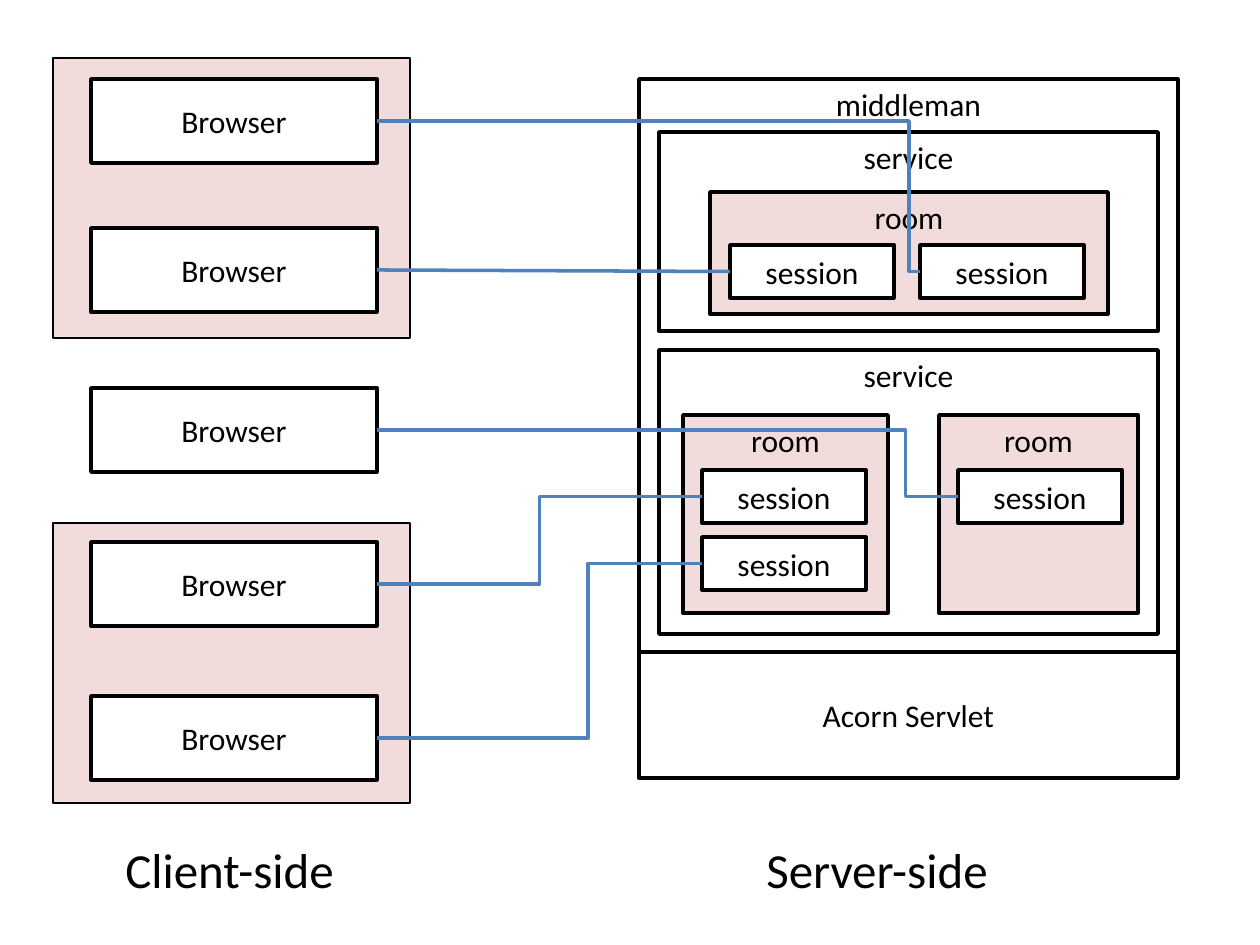
from dataclasses import dataclass

from lxml.etree import SubElement
from pptx import Presentation
from pptx.dml.color import RGBColor
from pptx.enum.shapes import MSO_CONNECTOR as Link, MSO_SHAPE as Shape
from pptx.enum.text import MSO_ANCHOR as Anchor, PP_ALIGN as Align
from pptx.oxml.ns import qn
from pptx.util import Pt

EMU_PER_PX = 914400 / 126
RIGHT_SIDE, LEFT_SIDE = 3, 1


@dataclass(frozen=True)
class Theme:
    font: str = "Calibri"
    label_size: int = 18
    caption_size: int = 28
    line_width: float = 2
    group_line_width: float = 1.5
    ink: RGBColor = RGBColor(0, 0, 0)
    paper: RGBColor = RGBColor(255, 255, 255)
    group: RGBColor = RGBColor(0xF2, 0xDC, 0xDB)
    link: RGBColor = RGBColor(0x4F, 0x81, 0xBD)


THEME = Theme()


def px(*lengths):
    return [round(length * EMU_PER_PX) for length in lengths]


def write(frame, text, size, align):
    frame.text = text
    para = frame.paragraphs[0]
    para.alignment = align
    for span in para.runs:
        span.font.name = THEME.font
        span.font.size = Pt(size)
        span.font.color.rgb = THEME.ink


def add_box(page, box, text="", fill=THEME.paper, anchor=Anchor.MIDDLE,
            line_width=THEME.line_width):
    shape = page.shapes.add_shape(Shape.RECTANGLE, *px(*box))
    shape.shadow.inherit = False
    shape.fill.solid()
    shape.fill.fore_color.rgb = fill
    shape.line.color.rgb = THEME.ink
    shape.line.width = Pt(line_width)
    if text:
        shape.text_frame.vertical_anchor = anchor
        write(shape.text_frame, text, THEME.label_size, Align.CENTER)
    return shape


def add_caption(page, box, text):
    caption = page.shapes.add_textbox(*px(*box))
    caption.text_frame.word_wrap = False
    write(caption.text_frame, text, THEME.caption_size, Align.LEFT)


def add_browser(page, left, top):
    return add_box(page, (left, top, 286, 84), "Browser")


def add_client_group(page, box, browser_tops):
    left, top, _, _ = box
    add_box(page, box, fill=THEME.group, line_width=THEME.group_line_width)
    return [add_browser(page, left + 38, top + offset) for offset in browser_tops]


def add_room(page, box, session_offsets):
    left, top, _, _ = box
    add_box(page, box, "room", THEME.group, Anchor.TOP)
    return [add_box(page, (left + dx, top + dy, 164, 53), "session")
            for dx, dy in session_offsets]


def add_service(page, box, rooms):
    left, top, _, _ = box
    add_box(page, box, "service", anchor=Anchor.TOP)
    sessions = []
    for (dx, dy, width, height), offsets in rooms:
        sessions += add_room(page, (left + dx, top + dy, width, height), offsets)
    return sessions


def add_server(page, box):
    left, top, width, height = box
    base_height = 126
    main_height = height - base_height
    add_box(page, (left, top + main_height, width, base_height), "Acorn Servlet")
    add_box(page, (left, top, width, main_height), "middleman", anchor=Anchor.TOP)
    inner_left, inner_width = left + 20, width - 40
    upper = add_service(page, (inner_left, top + 53, inner_width, 199), [
        ((51, 60, 398, 122), [(20, 53), (210, 53)]),
    ])
    lower = add_service(page, (inner_left, top + 271, inner_width, 284), [
        ((24, 65, 205, 198), [(19, 55), (19, 122)]),
        ((280, 65, 199, 198), [(19, 55)]),
    ])
    return upper + lower


def add_link(page, browser, session, bend=None):
    kind = Link.STRAIGHT if bend is None else Link.ELBOW
    link = page.shapes.add_connector(
        kind, browser.left + browser.width, browser.top + browser.height // 2,
        session.left, session.top + session.height // 2)
    link.begin_connect(browser, RIGHT_SIDE)
    link.end_connect(session, LEFT_SIDE)
    link.line.color.rgb = THEME.link
    link.line.width = Pt(THEME.line_width)
    properties = link._element.spPr
    SubElement(properties, qn("a:effectLst"))
    if bend is not None:
        adjustments = properties.find(qn("a:prstGeom")).get_or_add_avLst()
        SubElement(adjustments, qn("a:gd"), name="adj1",
                   fmla=f"val {round(bend * 100000)}")


def main():
    deck = Presentation()
    deck.slide_width, deck.slide_height = px(1260, 945)
    page = deck.slides.add_slide(deck.slide_layouts[6])

    browsers = add_client_group(page, (53, 58, 357, 280), (21, 170))
    browsers.append(add_browser(page, 91, 388))
    browsers += add_client_group(page, (53, 523, 357, 280), (19, 173))
    left_top, right_top, first, second, lone = add_server(page, (639, 79, 539, 699))

    targets = [(right_top, 0.98), (left_top, None), (lone, 0.91),
               (first, 0.5), (second, 0.65)]
    for browser, (session, bend) in zip(browsers, targets):
        add_link(page, browser, session, bend)

    add_caption(page, (113, 833, 238, 72), "Client-side")
    add_caption(page, (754, 833, 250, 72), "Server-side")
    deck.save("out.pptx")


if __name__ == "__main__":
    main()
